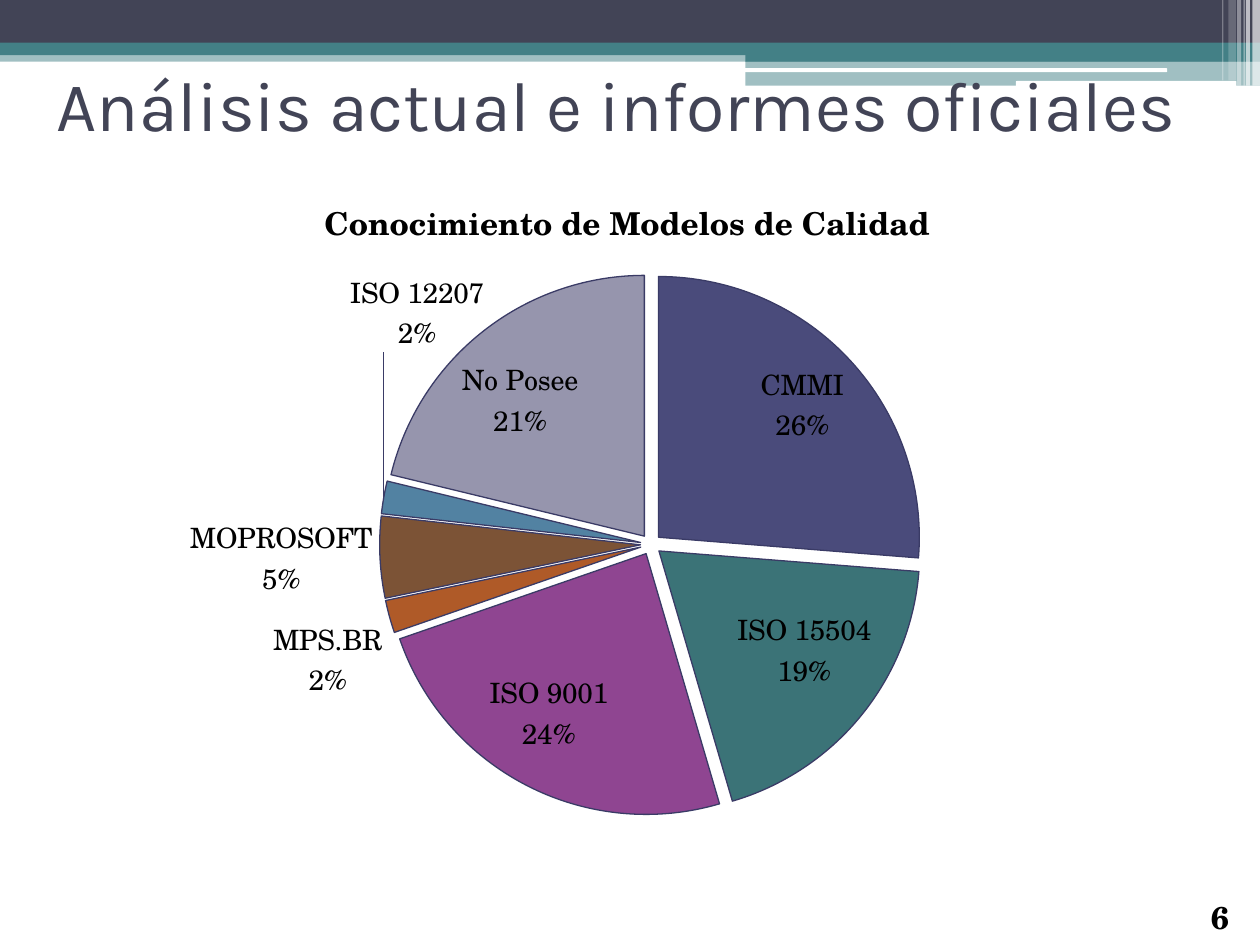
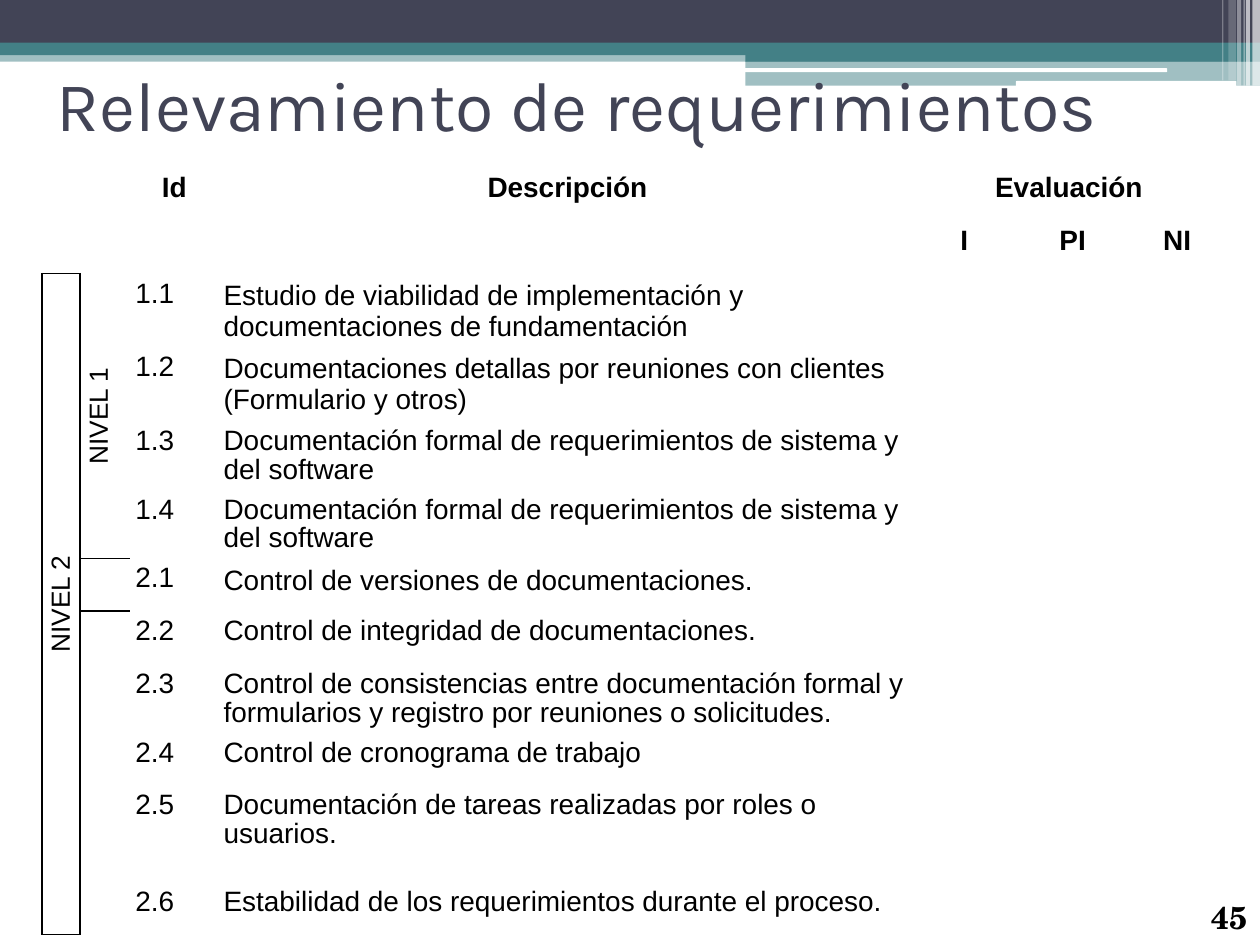
from dataclasses import dataclass

from lxml import etree
from pptx import Presentation
from pptx import util as u
from pptx.chart import data as chart_data
from pptx.dml import color as dml
from pptx.enum import chart as charts, shapes, text
from pptx.oxml import ns


@dataclass(frozen=True)
class Theme:
    """Colours, fonts and type sizes of the presentation."""
    ink: str = "000000"
    dark: str = "424456"
    teal: str = "438086"
    white: str = "FFFFFF"
    outline: str = "3A3B66"
    slices: tuple = ("4A4B7B", "3B7377", "8F4591", "AF5A28", "7C5336", "5282A2", "9695AD")
    title_font: str = "Karla"
    serif_font: str = "TeX Gyre Schola"
    table_font: str = "Arial"
    title_size: int = 40
    heading_size: int = 18
    body_size: int = 16
    level_size: int = 15


THEME = Theme()
TITLE_BOX = (26, 6, 669, 106.5)
NUMBER_BOX = (685.5, 509, 34.5, 31)
CHART_BOX = (18, 96, 684, 409)
TABLE_BOX = (24, 96, 674, 437)
NO_GRID_STYLE = "{2D5ABB26-0587-4C30-8999-92F81FD0307C}"

BANDS = (
    (0, 28.8, 720, 6.5, THEME.teal, 50),
    (0, 24, 720, 7.6, THEME.teal, 100),
    (0, 0, 720, 24.4, THEME.dark, 100),
    (426, 28, 294, 7.2, THEME.teal, 100),
    (426, 34.8, 294, 14.2, THEME.teal, 50),
)
ROUNDED_BARS = ((425.5, 39, 241.5, 2.2), (580.5, 46.3, 126, 3))
STRIPES = ((715.7, 4.3, 49, 65), (712, 2.2, 49, 65), (710.6, 0.7, 49, 60),
           (707, 2.2, 49, 40), (702, 4.3, 46, 20), (698.4, 0.7, 46, 30))

MODELS = ("CMMI", "ISO 15504", "ISO 9001", "MPS.BR", "MOPROSOFT", "ISO 12207", "No Posee")
SHARES = (26, 19, 24, 2, 5, 2, 21)

COLUMN_WIDTHS = (21.6, 28.8, 50.4, 398.9, 54.7, 69.1, 50.4)
HEADER_HEIGHT = 30.2
THICK, THIN = 1, 0.03
TIGHT, SINGLE = 0.93, 1
REQUIREMENTS = (
    ("1.1", "Estudio de viabilidad de implementación y documentaciones de fundamentación", 41.7, SINGLE),
    ("1.2", "Documentaciones detallas por reuniones con clientes (Formulario y otros)", 41.7, SINGLE),
    ("1.3", "Documentación formal de requerimientos de sistema y del software", 39.4, TIGHT),
    ("1.4", "Documentación formal de requerimientos de sistema y del software", 39.4, TIGHT),
    ("2.1", "Control de versiones de documentaciones.", 30, SINGLE),
    ("2.2", "Control de integridad de documentaciones.", 30.3, TIGHT),
    ("2.3", "Control de consistencias entre documentación formal y formularios y registro por "
            "reuniones o solicitudes.", 39.2, TIGHT),
    ("2.4", "Control de cronograma de trabajo", 30, TIGHT),
    ("2.5", "Documentación de tareas realizadas por roles o usuarios.", 55.4, TIGHT),
    ("2.6", "Estabilidad de los requerimientos durante el proceso.", 30, TIGHT),
)


def points(box):
    """Turn a box of plain numbers into lengths."""
    return [u.Pt(value) for value in box]


def rgb(value):
    """Return the colour object of a hex value."""
    return dml.RGBColor.from_string(value)


def format_font(font, name, size, color=THEME.ink, bold=False):
    """Set the typeface, size, colour and weight of a font."""
    font.name, font.size, font.bold = name, u.Pt(size), bold
    font.color.rgb = rgb(color)


def write(frame, content, *, font, size, color=THEME.ink, bold=False,
          align=text.PP_ALIGN.LEFT, spacing=SINGLE):
    """Write one formatted paragraph into a text frame."""
    paragraph = frame.paragraphs[0]
    paragraph.alignment, paragraph.line_spacing = align, spacing
    run = paragraph.add_run()
    run.text = content
    format_font(run.font, font, size, color, bold)


def set_margins(holder, left, top, right, bottom):
    """Set the inner margins of a text frame or table cell."""
    holder.margin_left, holder.margin_top = u.Pt(left), u.Pt(top)
    holder.margin_right, holder.margin_bottom = u.Pt(right), u.Pt(bottom)


def add_bar(slide, box, color, opacity=100, kind=shapes.MSO_SHAPE.RECTANGLE):
    """Add a plain filled bar without outline."""
    bar = slide.shapes.add_shape(kind, *points(box))
    bar.shadow.inherit = False
    bar.fill.solid()
    bar.fill.fore_color.rgb = rgb(color)
    bar.line.fill.background()
    if opacity < 100:
        color_element = bar._element.spPr.find(".//" + ns.qn("a:srgbClr"))
        etree.SubElement(color_element, ns.qn("a:alpha"), val=str(opacity * 1000))


def add_bands(slide):
    """Draw the header bands, white bars and right-hand stripes."""
    for *box, color, opacity in BANDS:
        add_bar(slide, box, color, opacity)
    for box in ROUNDED_BARS:
        add_bar(slide, box, THEME.white, kind=shapes.MSO_SHAPE.ROUNDED_RECTANGLE)
    for left, width, height, opacity in STRIPES:
        add_bar(slide, (left, 0, width, height), THEME.white, opacity)


def add_titled_slide(presentation, heading, number):
    """Add a slide with bands, title and page number."""
    slide = presentation.slides.add_slide(presentation.slide_layouts[5])
    add_bands(slide)
    title = slide.shapes.title
    slide.shapes._spTree.append(title._element)
    title.left, title.top, title.width, title.height = points(TITLE_BOX)
    frame = title.text_frame
    frame.word_wrap, frame.auto_size = True, text.MSO_AUTO_SIZE.NONE
    frame.vertical_anchor = text.MSO_ANCHOR.MIDDLE
    set_margins(frame, 6.5, 3, 6.5, 3.5)
    write(frame, heading, font=THEME.title_font, size=THEME.title_size, color=THEME.dark)
    frame = slide.shapes.add_textbox(*points(NUMBER_BOX)).text_frame
    frame.word_wrap = True
    set_margins(frame, 6.5, 4.3, 0, 3)
    write(frame, number, font=THEME.serif_font, size=THEME.heading_size, bold=True)
    return slide


def make_layout(inner=False, **place):
    """Return a manual chart layout element."""
    layout = etree.Element(ns.qn("c:layout"))
    manual = etree.SubElement(layout, ns.qn("c:manualLayout"))
    if inner:
        etree.SubElement(manual, ns.qn("c:layoutTarget"), val="inner")
    for name, value in place.items():
        etree.SubElement(manual, ns.qn("c:" + name), val=str(value))
    return layout


def place_part(part, layout):
    """Give a chart part a layout in place of its present one."""
    for present in part.findall(ns.qn("c:layout")):
        part.remove(present)
    before = part.find(ns.qn("c:tx"))
    if before is None:
        part.insert(0, layout)
    else:
        before.addnext(layout)


def format_slices(series):
    """Colour and separate the slices of the pie."""
    series.format.line.color.rgb = rgb(THEME.outline)
    explosion = etree.Element(ns.qn("c:explosion"), val="4")
    series._element.find(ns.qn("c:spPr")).addnext(explosion)
    for index, color in enumerate(THEME.slices):
        style = series.points[index].format
        style.fill.solid()
        style.fill.fore_color.rgb = rgb(color)
        style.line.color.rgb = rgb(THEME.outline)
        style.line.width = u.Pt(0.75)


def label_slices(series):
    """Show category and percentage, with one label moved away from its slice."""
    labels = series.data_labels
    labels.show_value, labels.show_category_name, labels.show_percentage = False, True, True
    labels.number_format, labels.number_format_is_linked = "0%", False
    labels.position = charts.XL_LABEL_POSITION.BEST_FIT
    format_font(labels.font, THEME.serif_font, THEME.body_size)
    moved = series.points[MODELS.index("ISO 12207")].data_label
    format_font(moved.font, THEME.serif_font, THEME.body_size)
    moved.position = charts.XL_LABEL_POSITION.BEST_FIT
    element = labels._element.find(ns.qn("c:dLbl"))
    for name, shown in (("showVal", "0"), ("showCatName", "1"), ("showPercent", "1")):
        element.find(ns.qn("c:" + name)).set("val", shown)
    element.find(ns.qn("c:idx")).addnext(make_layout(x=0.09, y=-0.2))


def add_models_chart(slide, box):
    """Add the pie chart of known quality models."""
    data = chart_data.CategoryChartData()
    data.categories = MODELS
    data.add_series("Series 1", SHARES)
    chart = slide.shapes.add_chart(charts.XL_CHART_TYPE.PIE, *points(box), data).chart
    format_font(chart.font, THEME.serif_font, 10)
    chart.has_legend = False
    chart.has_title = True
    write(chart.chart_title.text_frame, "Conocimiento de Modelos de Calidad",
          font=THEME.serif_font, size=THEME.heading_size, bold=True,
          align=text.PP_ALIGN.CENTER)
    place_part(chart.chart_title._element,
               make_layout(xMode="edge", yMode="edge", x=0.24, y=0.03))
    plot = chart.plots[0]
    plot.vary_by_categories = True
    place_part(plot._element.getparent(),
               make_layout(True, xMode="edge", yMode="edge", x=0.096, y=0.147, w=0.843, h=0.758))
    format_slices(plot.series[0])
    label_slices(plot.series[0])


def set_borders(cell, thick="", thin=""):
    """Draw thick and hairline borders on the named sides of a cell."""
    properties = cell._tc.get_or_add_tcPr()
    for index, side in enumerate(side for side in "LRTB" if side in thick + thin):
        width = THICK if side in thick else THIN
        line = etree.Element(ns.qn("a:ln" + side), w=str(u.Pt(width)))
        fill = etree.SubElement(line, ns.qn("a:solidFill"))
        etree.SubElement(fill, ns.qn("a:srgbClr"), val=THEME.ink)
        properties.insert(index, line)


def fill_header(table):
    """Write the two header rows."""
    for column in (2, 3):
        table.cell(0, column).merge(table.cell(1, column))
    table.cell(0, 4).merge(table.cell(0, 6))
    headings = {(0, 2): "Id", (0, 3): "Descripción", (0, 4): "Evaluación",
                (1, 4): "I", (1, 5): "PI", (1, 6): "NI"}
    for place, heading in headings.items():
        write(table.cell(*place).text_frame, heading, font=THEME.table_font,
              size=THEME.body_size, bold=True, align=text.PP_ALIGN.CENTER, spacing=TIGHT)


def fill_levels(table):
    """Write the upright level names."""
    for column, end, name in ((0, len(REQUIREMENTS) + 1, "NIVEL 2"), (1, 5, "NIVEL 1")):
        cell = table.cell(2, column)
        cell.merge(table.cell(end, column))
        cell.vertical_anchor = text.MSO_ANCHOR.MIDDLE
        cell._tc.get_or_add_tcPr().set("vert", "vert270")
        write(cell.text_frame, name, font=THEME.table_font, size=THEME.level_size,
              align=text.PP_ALIGN.CENTER, spacing=TIGHT)


def draw_grid(table):
    """Outline the level cells strongly and all others with hairlines."""
    special = {(0, 0): ("", ""), (0, 1): ("", "R"), (1, 0): ("B", ""), (1, 1): ("", "RB"),
               (2, 0): ("LRTB", ""), (2, 1): ("LB", "TR"), (6, 1): ("LT", "R")}
    for row in range(len(table.rows)):
        for column in range(len(table.columns)):
            cell = table.cell(row, column)
            if not cell.is_spanned:
                usual = ("L", "R") if column == 1 else ("", "LRTB")
                set_borders(cell, *special.get((row, column), usual))


def add_requirements_table(slide, box):
    """Add the table of requirements by level."""
    heights = [HEADER_HEIGHT] * 2 + [height for _, _, height, _ in REQUIREMENTS]
    table = slide.shapes.add_table(len(heights), len(COLUMN_WIDTHS), *points(box)).table
    table.first_row = table.horz_banding = False
    table._tbl.tblPr.find(ns.qn("a:tableStyleId")).text = NO_GRID_STYLE
    for column, width in zip(table.columns, COLUMN_WIDTHS):
        column.width = u.Pt(width)
    for row, height in zip(table.rows, heights):
        row.height = u.Pt(height)
    for cell in table.iter_cells():
        cell.fill.background()
        set_margins(cell, 3, 3.6, 3, 0)
    fill_header(table)
    fill_levels(table)
    draw_grid(table)
    for row, (number, description, _, spacing) in enumerate(REQUIREMENTS, start=2):
        write(table.cell(row, 2).text_frame, number, font=THEME.table_font,
              size=THEME.body_size, spacing=TIGHT)
        write(table.cell(row, 3).text_frame, description, font=THEME.table_font,
              size=THEME.body_size, spacing=spacing)


def main():
    """Build and save the presentation."""
    presentation = Presentation()
    presentation.slide_width, presentation.slide_height = u.Pt(720), u.Pt(540)
    slide = add_titled_slide(presentation, "Análisis actual e informes oficiales", "6")
    add_models_chart(slide, CHART_BOX)
    slide = add_titled_slide(presentation, "Relevamiento de requerimientos", "45")
    add_requirements_table(slide, TABLE_BOX)
    presentation.save("out.pptx")


if __name__ == "__main__":
    main()
